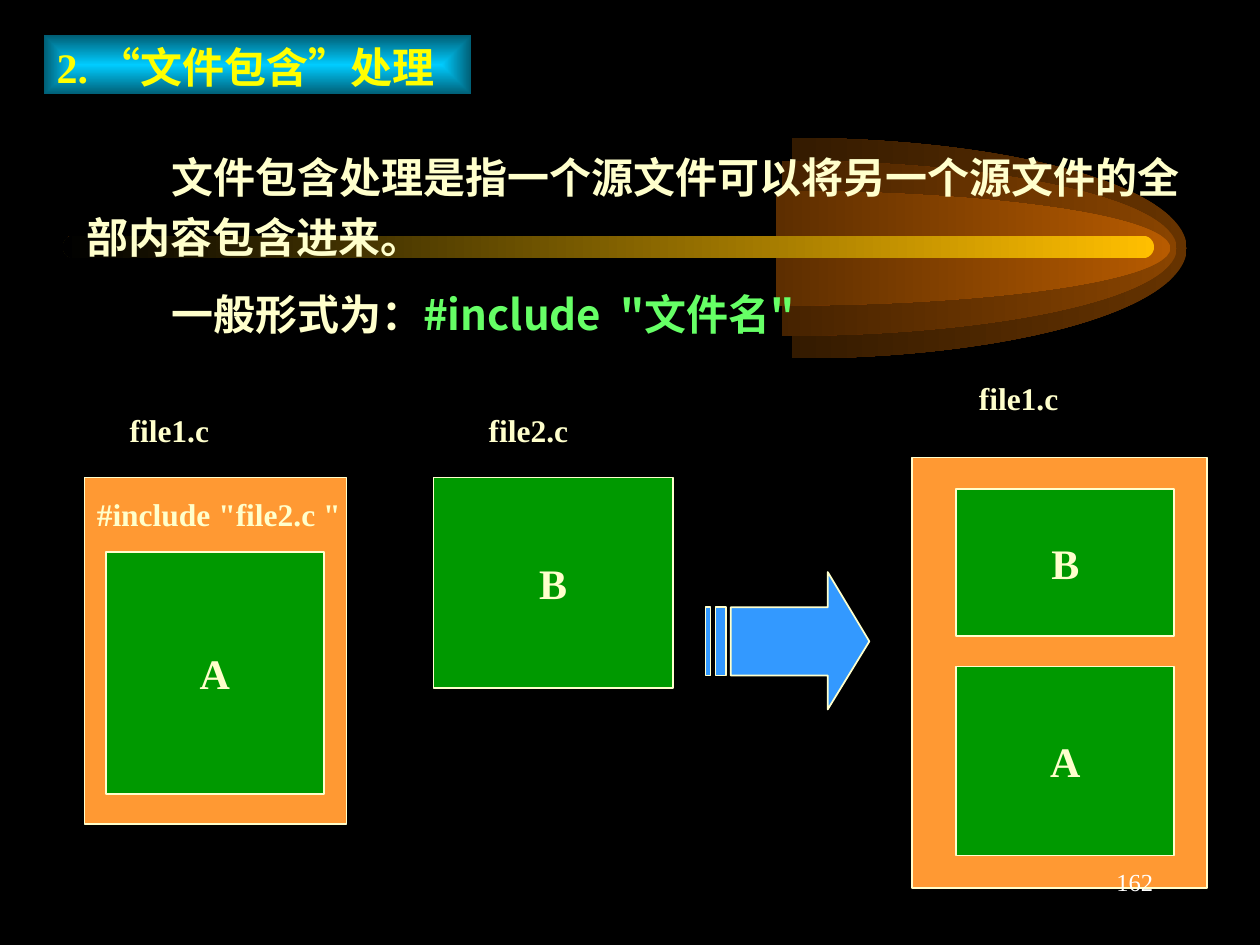
"""Build the slide that explains file inclusion in C."""
from lxml import etree
from pptx import Presentation
from pptx.dml.color import RGBColor
from pptx.enum import shapes, text
from pptx.oxml import ns
from pptx.util import Inches, Pt

BLACK = RGBColor(0x00, 0x00, 0x00)
WHITE = RGBColor(0xFF, 0xFF, 0xFF)
CREAM = RGBColor(0xFF, 0xFF, 0xCC)
YELLOW = RGBColor(0xFF, 0xFF, 0x00)
LIME = RGBColor(0x66, 0xFF, 0x66)
GREEN = RGBColor(0x00, 0x99, 0x00)
ORANGE = RGBColor(0xFF, 0x99, 0x33)
BLUE = RGBColor(0x33, 0x99, 0xFF)
CYAN = RGBColor(0x00, 0xCC, 0xFF)
TEAL = RGBColor(0x00, 0x5E, 0x75)
GOLD = RGBColor(0xFF, 0xBF, 0x00)
BROWNS = [RGBColor(0x66, 0x33, 0x00), RGBColor(0x89, 0x44, 0x00), RGBColor(0xB7, 0x5B, 0x00)]

SERIF = "Times New Roman"
HAN = "Noto Sans CJK SC"
PRESET = shapes.MSO_SHAPE


def write(paragraph, words, *, size=24, font=SERIF, color=CREAM, bold=True, align=None):
    """Add a formatted run to a paragraph."""
    run = paragraph.add_run()
    run.text = words
    run.font.size, run.font.bold, run.font.name = Pt(size), bold, font
    run.font.color.rgb = color
    etree.SubElement(run.font._element, ns.qn("a:ea"), typeface=HAN)
    if align is not None:
        paragraph.alignment = align


def add_text(slide, box, words="", **style):
    """Add a wrapping text box and return its text frame."""
    frame = slide.shapes.add_textbox(*map(Inches, box)).text_frame
    frame.word_wrap = True
    if words:
        write(frame.paragraphs[0], words, **style)
    return frame


def paint(shape, fill):
    """Give a shape a flat fill and a cream outline."""
    shape.shadow.inherit = False
    shape.fill.solid()
    shape.fill.fore_color.rgb = fill
    shape.line.color.rgb = CREAM
    shape.line.width = Pt(1)


def add_block(slide, box, fill, label=""):
    """Add an outlined rectangle with an optional centred label."""
    block = slide.shapes.add_shape(PRESET.RECTANGLE, *map(Inches, box))
    paint(block, fill)
    if label:
        frame = block.text_frame
        frame.vertical_anchor = text.MSO_ANCHOR.MIDDLE
        write(frame.paragraphs[0], label, align=text.PP_ALIGN.CENTER)


def add_gradient(slide, preset, box, start, end, adjustments=()):
    """Add a borderless shape that fades leftwards from start to end."""
    shape = slide.shapes.add_shape(preset, *map(Inches, box))
    shape.shadow.inherit = False
    shape.line.fill.background()
    for index, value in enumerate(adjustments):
        shape.adjustments[index] = value
    shape.fill.gradient()
    shape.fill.gradient_angle = 180
    for stop, color in zip(shape.fill.gradient_stops, (start, end)):
        stop.color.rgb = color
    return shape


def add_comet(slide):
    """Draw the glowing half ellipses and the golden bar behind the text."""
    middle, width = 1.97, 6.26
    for left, height, brown in zip((3.16, 3.08, 3.03), (1.75, 1.39, 0.91), BROWNS):
        box = (left, middle - height / 2, width, height)
        add_gradient(slide, PRESET.ARC, box, brown, BLACK, (162, 54))
    add_gradient(slide, PRESET.ROUNDED_RECTANGLE, (0.5, 1.87, 8.66, 0.18), GOLD, BLACK, (0.5,))


def add_title(slide, words):
    """Add the heading on a plate that glows from its centre."""
    plate = add_gradient(slide, PRESET.RECTANGLE, (0.35, 0.28, 3.39, 0.47), CYAN, TEAL)
    linear = plate._element.spPr.find(".//" + ns.qn("a:lin"))
    glow = etree.Element(ns.qn("a:path"), path="rect")
    etree.SubElement(glow, ns.qn("a:fillToRect"), l="50000", t="50000", r="50000", b="50000")
    linear.getparent().replace(linear, glow)
    plate.text_frame.vertical_anchor = text.MSO_ANCHOR.TOP
    write(plate.text_frame.paragraphs[0], words, color=YELLOW, align=text.PP_ALIGN.LEFT)


def add_explanation(slide):
    """Add the definition and the general form of the directive."""
    frame = add_text(slide, (0.59, 1.07, 9.08, 1.67))
    definition, form = frame.paragraphs[0], frame.add_paragraph()
    for paragraph in (definition, form):
        paragraph._p.get_or_add_pPr().set("indent", str(Inches(0.67)))
    definition.line_spacing = 1.2
    form.space_before = Pt(15)
    write(definition, "文件包含处理是指一个源文件可以将另一个源文件的全部内容包含进来。", font=HAN)
    write(form, "一般形式为：", font=HAN)
    write(form, '#include  "文件名"', font=HAN, color=LIME)


def add_striped_arrow(slide):
    """Draw the arrow with two stripes at its tail, in hundredths of an inch."""
    top, bottom = 482, 536
    outlines = [[(580, top), (657, top), (657, 454), (690, 509),
                 (657, 563), (657, bottom), (580, bottom)]]
    for left, right in ((560, 564), (568, 576)):
        outlines.append([(left, top), (right, top), (right, bottom), (left, bottom)])
    builder = slide.shapes.build_freeform(*outlines[0][0], scale=Inches(0.01))
    for number, outline in enumerate(outlines):
        if number:
            builder.move_to(*outline[0])
        builder.add_line_segments(outline[1:], close=True)
    paint(builder.convert_to_shape(), BLUE)


def add_diagram(slide):
    """Show both files before and after the inclusion."""
    add_block(slide, (0.67, 3.79, 2.08, 2.75), ORANGE)
    add_text(slide, (0.67, 3.88, 2.16, 0.4), '#include "file2.c "', size=18)
    add_block(slide, (7.24, 3.63, 2.34, 3.42), ORANGE)
    for box, label in (((0.84, 4.38, 1.73, 1.92), "A"), ((3.44, 3.79, 1.9, 1.67), "B"),
                       ((7.59, 3.88, 1.73, 1.17), "B"), ((7.59, 5.29, 1.73, 1.5), "A")):
        add_block(slide, box, GREEN, label)
    for left, top, name in ((0.93, 3.21, "file1.c"), (3.78, 3.21, "file2.c"),
                            (7.67, 2.96, "file1.c")):
        add_text(slide, (left, top, 1.21, 0.4), name, size=18)
    add_striped_arrow(slide)


def main():
    """Assemble and save the slide."""
    deck = Presentation()
    deck.slide_width, deck.slide_height = Inches(10), Inches(7.5)
    slide = deck.slides.add_slide(deck.slide_layouts[6])
    slide.background.fill.solid()
    slide.background.fill.fore_color.rgb = BLACK
    add_comet(slide)
    add_explanation(slide)
    add_diagram(slide)
    add_title(slide, "2. “文件包含”处理")
    add_text(slide, (7.17, 6.83, 2.08, 0.5), "162", size=14, color=WHITE, bold=False,
             align=text.PP_ALIGN.RIGHT)
    deck.save("out.pptx")


if __name__ == "__main__":
    main()
